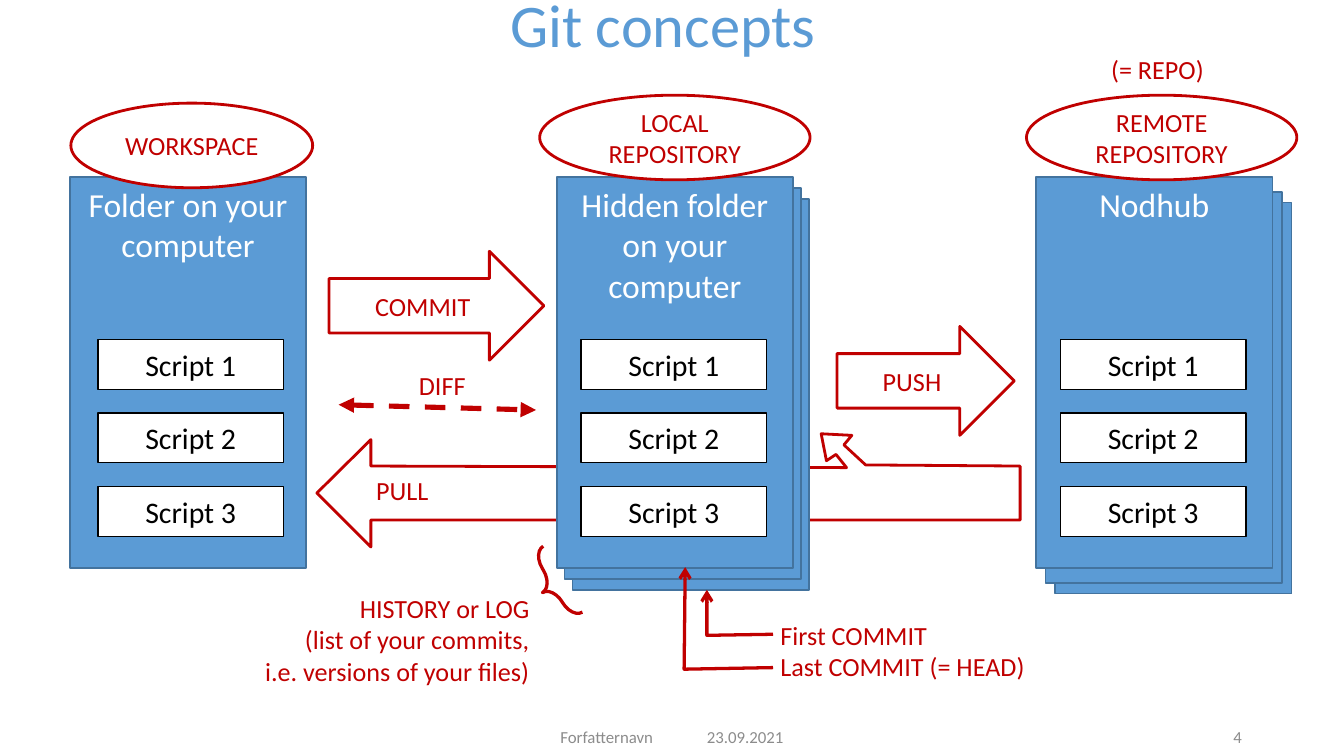
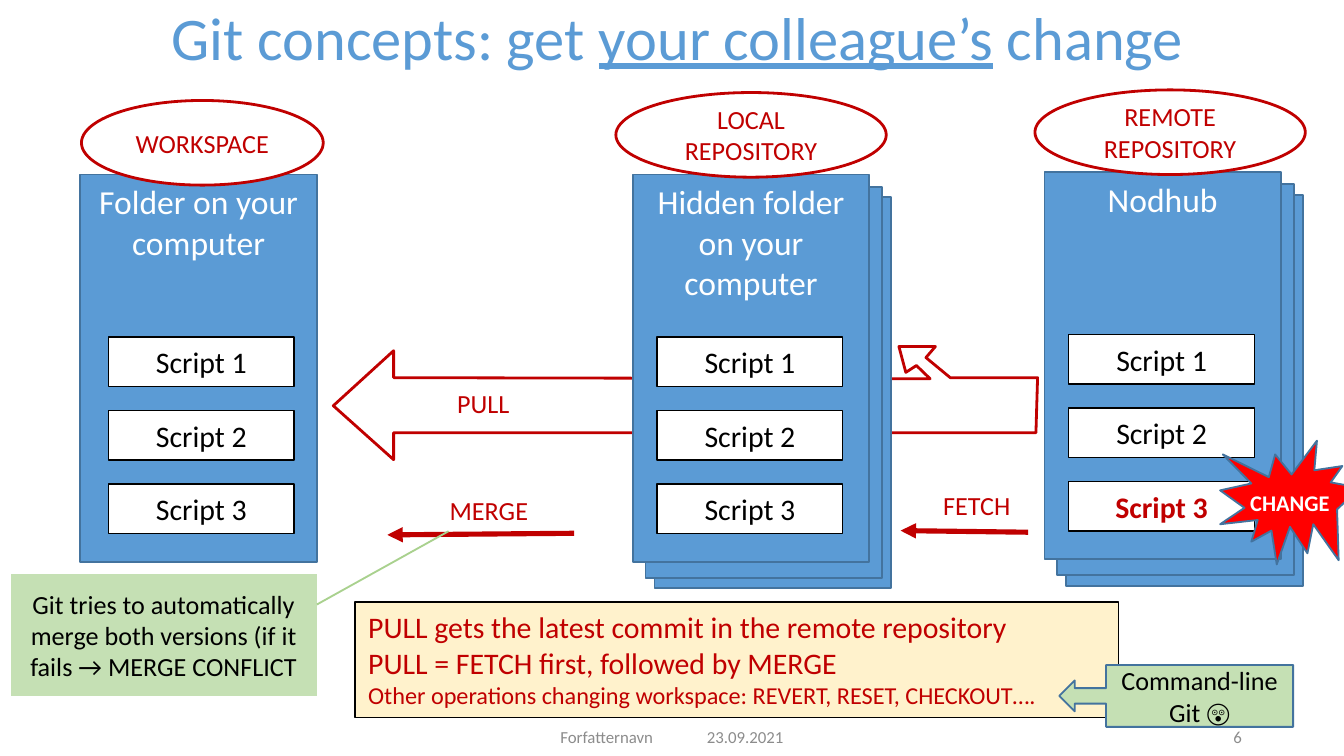
import pptx
import pptx.dml.color
import pptx.enum.dml
import pptx.enum.shapes
import pptx.enum.text
import pptx.oxml.ns
import pptx.util
from lxml import etree

Cm = pptx.util.Cm
rgb = pptx.dml.color.RGBColor.from_string
SHAPE = pptx.enum.shapes.MSO_SHAPE
ALIGN = pptx.enum.text.PP_ALIGN
ANCHOR = pptx.enum.text.MSO_ANCHOR
qn = pptx.oxml.ns.qn

FONT = "Calibri"
RED, BLUE, BLUE_EDGE = "C00000", "5B9BD5", "43739E"
WHITE, BLACK, GREY = "FFFFFF", "000000", "8C8C8C"
GREEN, GREEN_EDGE, CREAM = "C5E0B4", "A9D18E", "FFF2CC"


def style(shape, fill=None, line=None, width=1.0, text="", size=14, color=RED,
          bold=False, align=ALIGN.CENTER, anchor=ANCHOR.MIDDLE):
    shape.shadow.inherit = False
    if fill:
        shape.fill.solid()
        shape.fill.fore_color.rgb = rgb(fill)
    else:
        shape.fill.background()
    if line:
        shape.line.color.rgb = rgb(line)
        shape.line.width = pptx.util.Pt(width)
    else:
        shape.line.fill.background()
    frame = shape.text_frame
    frame.word_wrap = True
    frame.vertical_anchor = anchor
    frame.text = text
    for para in frame.paragraphs:
        para.alignment = align
        para.font.name = FONT
        para.font.size = pptx.util.Pt(size)
        para.font.bold = bold
        para.font.color.rgb = rgb(color)
    return shape


def outline(page, points, closed=True):
    corners = [(Cm(x), Cm(y)) for x, y in points]
    builder = page.shapes.build_freeform(*corners[0], scale=1.0)
    builder.add_line_segments(corners[1:], close=closed)
    return builder.convert_to_shape()


deck = pptx.Presentation()
deck.slide_width, deck.slide_height = Cm(25.4), Cm(14.29)

CARD_WIDTH, BACK_HEIGHT = 4.47, 7.39
SCRIPT_TOP, SCRIPT_STEP = 3.07, 1.39
stages = [
    ("WORKSPACE", "Folder on your computer", 0.53, 0.02, -1.40, 4.57),
    ("LOCAL REPOSITORY", "Hidden folder on your computer", 0.46, -0.32, -1.55, 5.11),
    ("REMOTE REPOSITORY", "Nodhub", 0.46, -0.18, -1.55, 5.11),
]

footers = [
    ("23.09.2021", 13.18, 5.72, ALIGN.LEFT),
    ("Forfatternavn", 6.83, 5.69, ALIGN.RIGHT),
    (None, 21.82, 1.83, ALIGN.RIGHT),
]

slides = [
    dict(
        title=[("Git concepts", False)],
        title_at=(1.14, -0.05, 22.78, 1.17),
        number="4",
        cards=[(1.32, 3.35), (10.52, 3.35), (19.58, 3.35)],
        card_height=7.39,
        backs=[[], [(0.30, 0.41), (0.15, 0.20)], [(0.36, 0.48), (0.18, 0.28)]],
        changed=None,
        pull_inset=1.12,
        pull=[(19.28, 8.81), (16.36, 8.79), (15.95, 8.41), (16.10, 8.23),
              (15.52, 8.20), (15.62, 8.71), (15.80, 8.59), (16.00, 8.84),
              (7.01, 8.81), (7.01, 8.31), (5.99, 9.32), (7.01, 10.34),
              (7.01, 9.83), (19.28, 9.83)],
        labels=[
            ("DIFF", (7.47, 6.86, 1.78, 0.86), ALIGN.CENTER),
            ("First COMMIT\nLast COMMIT (= HEAD)", (14.50, 11.58, 5.69, 1.45), ALIGN.LEFT),
            ("(= REPO)", (20.75, 0.89, 2.41, 0.86), ALIGN.LEFT),
            ("HISTORY or LOG\v(list of your commits,\vi.e. versions of your files)",
             (4.57, 11.07, 5.69, 2.06), ALIGN.RIGHT),
        ],
        arrows=[
            ([(6.40, 7.65), (10.13, 7.75)], 2.75, True, {"headEnd": "triangle", "tailEnd": "triangle"}),
            ([(14.61, 12.62), (12.93, 12.65), (12.95, 10.72)], 1.75, False, {"tailEnd": "arrow"}),
            ([(14.61, 11.99), (13.36, 12.01), (13.36, 11.15)], 1.75, False, {"tailEnd": "arrow"}),
        ],
    ),
    dict(
        title=[("Git concepts: get ", False), ("your colleague’s", True), (" change", False)],
        title_at=(0.20, 0.18, 25.20, 1.17),
        number="6",
        cards=[(1.52, 3.30), (11.96, 3.30), (19.74, 3.25)],
        card_height=7.32,
        backs=[[], [(0.41, 0.43), (0.24, 0.23)], [(0.41, 0.43), (0.24, 0.23)]],
        changed=("REMOTE REPOSITORY", 3),
        pull_inset=2.34,
        pull=[(19.61, 7.14), (17.96, 7.14), (17.50, 6.76), (17.68, 6.55),
              (16.99, 6.55), (17.12, 7.04), (17.32, 6.91), (17.58, 7.16),
              (7.44, 7.14), (7.44, 6.63), (6.30, 7.67), (7.44, 8.69),
              (7.44, 8.18), (19.58, 8.18)],
        labels=[
            ("FETCH", (17.37, 9.12, 2.18, 0.86), ALIGN.CENTER),
            ("MERGE", (8.15, 9.22, 2.18, 0.86), ALIGN.CENTER),
        ],
        arrows=[
            ([(17.02, 10.03), (19.43, 10.06)], 2.75, False, {"headEnd": "triangle"}),
            ([(7.32, 10.11), (10.85, 10.08)], 2.75, False, {"headEnd": "triangle"}),
        ],
    ),
]

pages = []
for content in slides:
    page = deck.slides.add_slide(deck.slide_layouts[5])
    pages.append(page)

    title = page.shapes.title
    title.left, title.top, title.width, title.height = map(Cm, content["title_at"])
    frame = title.text_frame
    frame.auto_size = pptx.enum.text.MSO_AUTO_SIZE.NONE
    frame.word_wrap = True
    frame.vertical_anchor = ANCHOR.MIDDLE
    frame.margin_left = frame.margin_right = Cm(0.18)
    frame.margin_top = frame.margin_bottom = Cm(0.1)
    para = frame.paragraphs[0]
    para.alignment = ALIGN.CENTER
    para.line_spacing = 0.9
    para.font.name = FONT
    para.font.size = pptx.util.Pt(32.4)
    para.font.color.rgb = rgb(BLUE)
    for words, underlined in content["title"]:
        span = para.add_run()
        span.text = words
        span.font.underline = underlined

    pull = style(outline(page, content["pull"]), WHITE, RED, 1.5, "PULL", align=ALIGN.LEFT)
    pull.text_frame.margin_left = Cm(content["pull_inset"])

    for text, left, width, align in footers:
        box = page.shapes.add_textbox(Cm(left), Cm(13.54), Cm(width), Cm(0.76))
        frame = box.text_frame
        frame.margin_left = frame.margin_right = Cm(0.18)
        frame.margin_top = frame.margin_bottom = Cm(0.1)
        style(box, text=text or content["number"], size=9, color=GREY, align=align)

    for stage, (left, top), backs in zip(stages, content["cards"], content["backs"]):
        name, heading, script_inset, oval_dx, oval_dy, oval_width = stage
        for dx, dy in backs:
            card = page.shapes.add_shape(SHAPE.FLOWCHART_PROCESS, Cm(left + dx), Cm(top + dy),
                                         Cm(CARD_WIDTH), Cm(BACK_HEIGHT))
            style(card, BLUE, BLUE_EDGE)
        card = page.shapes.add_shape(SHAPE.FLOWCHART_PROCESS, Cm(left), Cm(top),
                                     Cm(CARD_WIDTH), Cm(content["card_height"]))
        style(card, BLUE, BLUE_EDGE, 1, heading, 18, WHITE, anchor=ANCHOR.TOP)
        for number in (1, 2, 3):
            script = page.shapes.add_shape(
                SHAPE.RECTANGLE, Cm(left + script_inset),
                Cm(top + SCRIPT_TOP + (number - 1) * SCRIPT_STEP), Cm(3.51), Cm(0.94))
            changed = content["changed"] == (name, number)
            style(script, WHITE, BLACK, 0.75, f"Script {number}", 16,
                  RED if changed else BLACK, changed)
        oval = page.shapes.add_shape(SHAPE.OVAL, Cm(left + oval_dx), Cm(top + oval_dy),
                                     Cm(oval_width), Cm(1.60))
        style(oval, WHITE, RED, 1.5, name)

    for text, place, align in content["labels"]:
        label = page.shapes.add_textbox(*map(Cm, place))
        style(label, text=text, align=align, anchor=ANCHOR.TOP)

    for points, width, dashed, ends in content["arrows"]:
        if len(points) == 2:
            arrow = page.shapes.add_connector(
                pptx.enum.shapes.MSO_CONNECTOR.STRAIGHT,
                *[Cm(length) for point in points for length in point])
            arrow.line.color.rgb = rgb(RED)
            arrow.line.width = pptx.util.Pt(width)
            etree.SubElement(arrow.element.spPr, qn("a:effectLst"))
        else:
            arrow = style(outline(page, points, False), None, RED, width)
        if dashed:
            arrow.line.dash_style = pptx.enum.dml.MSO_LINE.DASH
        for end, kind in ends.items():
            etree.SubElement(arrow.element.spPr.find(qn("a:ln")), qn(f"a:{end}"), type=kind)

concepts, colleague = pages

for text, place in [("PUSH", (15.82, 6.17, 3.35, 2.06)), ("COMMIT", (6.22, 4.75, 4.06, 2.06))]:
    arrow = concepts.shapes.add_shape(SHAPE.RIGHT_ARROW, *map(Cm, place))
    style(arrow, WHITE, RED, 1.5, text)

brace = concepts.shapes.add_shape(SHAPE.LEFT_BRACE, Cm(10.21), Cm(10.34), Cm(0.46), Cm(1.45))
brace.adjustments[0], brace.adjustments[1] = 0.758, 0.515
brace.rotation = 329.3
style(brace, None, RED, 1.75)

note = colleague.shapes.add_shape(SHAPE.RECTANGLE, Cm(6.71), Cm(11.38), Cm(14.43), Cm(2.18))
style(note, CREAM, BLACK, 0.75,
      "PULL gets the latest commit in the remote repository\v"
      "PULL = FETCH first, followed by MERGE\v"
      "Other operations changing workspace: REVERT, RESET, CHECKOUT….",
      16, align=ALIGN.LEFT, anchor=ANCHOR.TOP)
note.text_frame.paragraphs[0].runs[-1].font.size = pptx.util.Pt(13)

burst = outline(colleague, [
    (24.41, 8.97), (24.89, 8.33), (24.84, 8.89), (25.37, 8.81), (25.15, 9.12), (25.70, 9.22),
    (25.27, 9.63), (25.30, 10.59), (24.82, 9.91), (24.71, 10.46), (24.38, 9.96), (24.13, 10.67),
    (24.03, 10.03), (23.65, 10.24), (23.77, 9.83), (23.06, 9.91), (23.52, 9.60), (23.06, 9.27),
    (23.65, 9.14), (23.11, 8.59), (23.98, 9.02), (24.10, 8.59)])
style(burst, "FF0000", BLUE_EDGE, 1, "CHANGE", 12, WHITE, True)

callouts = [
    (SHAPE.LEFT_ARROW_CALLOUT, (20.02, 12.57, 4.42, 1.17), (0.25, 0.25, 0.25, 0.80),
     BLUE_EDGE, "Command-line Git 😲"),
    (SHAPE.LINE_CALLOUT_1_NO_BORDER, (0.20, 10.85, 5.79, 2.31), (0.25, 1.00, -0.35, 1.43),
     GREEN_EDGE, "Git tries to automatically merge both versions (if it fails → MERGE CONFLICT"),
]
for kind, place, adjustments, edge, text in callouts:
    callout = colleague.shapes.add_shape(kind, *map(Cm, place))
    for index, value in enumerate(adjustments):
        callout.adjustments[index] = value
    style(callout, GREEN, edge, 1, text, 14, BLACK)

deck.save("out.pptx")
